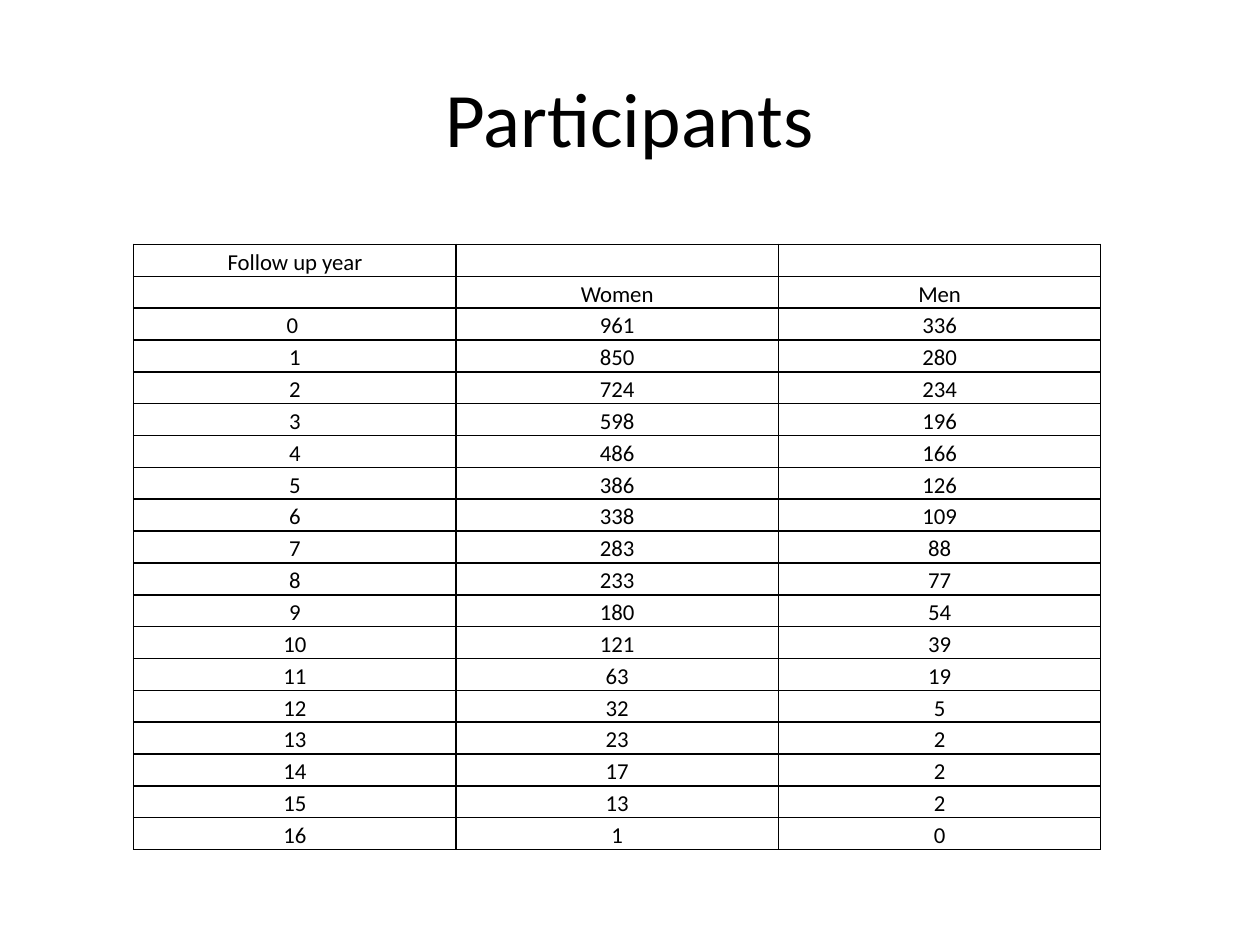
"""Build the Participants slide: follow-up counts by year for women and men."""
from typing import NamedTuple

from lxml import etree
from pptx import Presentation
from pptx.dml.color import RGBColor
from pptx.enum.text import MSO_ANCHOR, PP_ALIGN
from pptx.oxml.ns import qn
from pptx.util import Pt

CENTER = PP_ALIGN.CENTER
MIDDLE = MSO_ANCHOR.MIDDLE
TOP = MSO_ANCHOR.TOP
FONT = "Calibri"
BLACK = "000000"
CELL_SIZE = 13
COLUMN_WIDTH = 184.2
ROW_HEIGHT = 18.2
BORDER_TAGS = ("a:lnL", "a:lnR", "a:lnT", "a:lnB")


class TableRow(NamedTuple):
    year: str
    women: str
    men: str


WOMEN = (961, 850, 724, 598, 486, 386, 338, 283, 233, 180, 121, 63, 32, 23, 17, 13, 1)
MEN = (336, 280, 234, 196, 166, 126, 109, 88, 77, 54, 39, 19, 5, 2, 2, 2, 0)
ROWS = [TableRow("Follow up year", "", ""), TableRow("", "Women", "Men")] + [
    TableRow("0 " if year == 0 else str(year), str(women), str(men))
    for year, (women, men) in enumerate(zip(WOMEN, MEN))
]


def color(value: str) -> RGBColor:
    return RGBColor.from_string(value)


def format_text(p, size: float) -> None:
    p.alignment = CENTER
    for r in p.runs:
        r.font.name = FONT
        r.font.size = Pt(size)
        r.font.color.rgb = color(BLACK)


def add_borders(cell) -> None:
    props = cell._tc.get_or_add_tcPr()
    for index, tag in enumerate(BORDER_TAGS):
        line = etree.Element(qn(tag), w=str(Pt(1)))
        fill = etree.SubElement(line, qn("a:solidFill"))
        etree.SubElement(fill, qn("a:srgbClr"), val=BLACK)
        props.insert(index, line)


def fill_cell(cell, text: str) -> None:
    cell.margin_left = cell.margin_right = Pt(6.5)
    cell.margin_top = cell.margin_bottom = Pt(0)
    cell.vertical_anchor = TOP
    cell.fill.background()
    cell.text_frame.text = text
    p = cell.text_frame.paragraphs[0]
    p.line_spacing = 1.15
    format_text(p, CELL_SIZE)
    if not text:
        etree.SubElement(p._p, qn("a:endParaRPr"), sz=str(CELL_SIZE * 100))
    add_borders(cell)


def add_title(s, text: str) -> None:
    tf = s.shapes.add_textbox(Pt(36), Pt(21.6), Pt(648), Pt(90)).text_frame
    tf.word_wrap = True
    tf.vertical_anchor = MIDDLE
    tf.text = text
    format_text(tf.paragraphs[0], 44)


def add_participants(s, rows: list[TableRow]) -> None:
    count = len(TableRow._fields)
    table = s.shapes.add_table(
        len(rows), count, Pt(76.4), Pt(139.7),
        Pt(COLUMN_WIDTH * count), Pt(ROW_HEIGHT * len(rows)),
    ).table
    table.first_row = table.horz_banding = False
    for column in table.columns:
        column.width = Pt(COLUMN_WIDTH)
    for table_row, values in zip(table.rows, rows):
        table_row.height = Pt(ROW_HEIGHT)
        for cell, text in zip(table_row.cells, values):
            fill_cell(cell, text)


def main() -> None:
    prs = Presentation()
    prs.slide_width, prs.slide_height = Pt(720), Pt(540)
    s = prs.slides.add_slide(prs.slide_layouts[6])
    add_title(s, "Participants")
    add_participants(s, ROWS)
    prs.save("out.pptx")


main()
